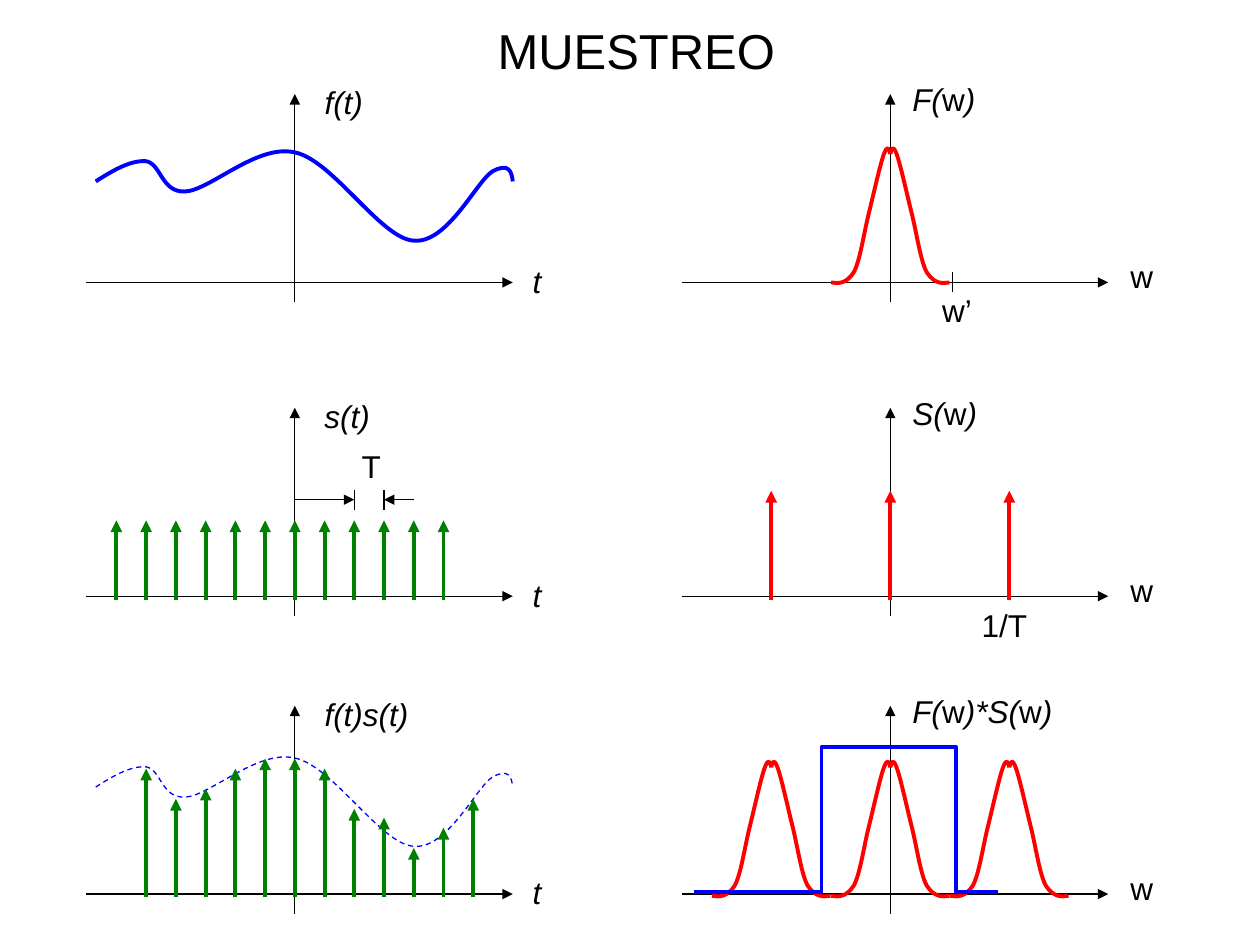
from itertools import groupby

from lxml import etree
from pptx import Presentation
from pptx.dml.color import RGBColor
from pptx.enum.dml import MSO_LINE
from pptx.enum.shapes import MSO_CONNECTOR
from pptx.enum.text import MSO_ANCHOR, MSO_AUTO_SIZE, PP_ALIGN
from pptx.oxml.ns import qn
from pptx.util import Inches, Pt

BLACK = RGBColor(0, 0, 0)
BLUE = RGBColor(0, 0, 255)
RED = RGBColor(255, 0, 0)
GREEN = RGBColor(0, 128, 0)
STRAIGHT = MSO_CONNECTOR.STRAIGHT
DASH = MSO_LINE.DASH
TOP = MSO_ANCHOR.TOP
GROW = MSO_AUTO_SIZE.SHAPE_TO_FIT_TEXT
CENTER, LEFT = PP_ALIGN.CENTER, PP_ALIGN.LEFT

COLS, ROWS = 100, 75
THIN, THICK = 0.75, 2.25
TIME_X, FREQ_X = 23.4, 70.66
BASES = (22.42, 47.32, 70.96)
PERIOD, SPECTRUM_STEP = 2.36, 9.45
SIGNAL = [(7.6, 14.4), (9, 13.5), (10.4, 12.7), (11.6, 12.8), (12.8, 13), (12.8, 15.3),
          (14.7, 15.2), (16.7, 15.1), (20.4, 11.4), (23.4, 12.1), (26.4, 12.7),
          (30.2, 18.9), (32.8, 19.1), (35.5, 19.4), (37.8, 14.4), (39.1, 13.6),
          (40.4, 12.9), (40.6, 13.6), (40.7, 14.4)]
HALF_BELL = [(4.7, 0), (4.1, 0.1), (3.5, 0.1), (2.9, -0.8), (2.4, -1.7), (2.1, -3.9),
             (1.7, -5.5), (1.3, -7.1), (0.8, -9.4), (0.5, -10.2), (0.2, -11),
             (0.1, -10.6), (0, -10.2)]
SAMPLE_TOPS = (61, 63.4, 62.6, 61, 60.2, 60.2, 61, 64.2, 64.9, 67.3, 65.7, 63.4)
WINDOW = [(55.1, 70.8), (65.2, 70.8), (65.2, 59.3), (75.9, 59.3), (75.9, 70.8), (79.2, 70.8)]


def write(tf, text, size=18, italic=False, align=LEFT):
    """Write one line of text, keeping the letter w upright."""
    tf.word_wrap = False
    tf.auto_size = GROW
    tf.vertical_anchor = TOP
    p = tf.paragraphs[0]
    p.alignment = align
    groups = groupby(text, key=lambda c: italic and c != "w")
    for slanted, letters in groups:
        r = p.add_run()
        r.text = "".join(letters)
        r.font.name, r.font.size = "Arial", Pt(size)
        r.font.italic = slanted
        r.font.color.rgb = BLACK


def bend(sp):
    """Turn each three segments of an outline into one cubic curve."""
    segments = list(sp._element.iter(qn("a:lnTo")))
    for i in range(0, len(segments), 3):
        curve = etree.Element(qn("a:cubicBezTo"))
        segments[i].addprevious(curve)
        for segment in segments[i:i + 3]:
            curve.append(segment[0])
            segment.getparent().remove(segment)


class Board:
    """Draw on the current slide in columns and rows of its grid."""

    def __init__(self, prs):
        self.s = prs.slides.add_slide(prs.slide_layouts[5])
        self.col = prs.slide_width / COLS
        self.row = prs.slide_height / ROWS

    def at(self, x, y):
        """Turn grid columns and rows into lengths."""
        return round(x * self.col), round(y * self.row)

    def title(self, text, x, y, w, h):
        """Place and fill the title."""
        sp = self.s.shapes.title
        sp.left, sp.top = self.at(x, y)
        sp.width, sp.height = self.at(w, h)
        write(sp.text_frame, text, size=28, align=CENTER)

    def label(self, text, x, y, w, italic=False):
        """Add a label."""
        sp = self.s.shapes.add_textbox(*self.at(x, y), *self.at(w, 4))
        write(sp.text_frame, text, italic=italic)

    def line(self, start, end, color=BLACK, width=THIN, arrow=True):
        """Add a straight line, with an arrowhead at its end if wanted."""
        sp = self.s.shapes.add_connector(STRAIGHT, *self.at(*start), *self.at(*end))
        sp.line.color.rgb = color
        sp.line.width = Pt(width)
        if arrow:
            ln = sp.line._get_or_add_ln()
            etree.SubElement(ln, qn("a:tailEnd"), type="triangle")
        etree.SubElement(sp._element.spPr, qn("a:effectLst"))

    def stem(self, x, bottom, top, color):
        """Add a thick upward arrow."""
        self.line((x, bottom), (x, top), color, THICK)

    def trace(self, points, color, width=THICK, dash=None, curved=True):
        """Add an open outline, curved or straight, along the points."""
        points = [self.at(*pt) for pt in points]
        fb = self.s.shapes.build_freeform(*points[0], scale=1.0)
        fb.add_line_segments(points[1:], close=False)
        sp = fb.convert_to_shape()
        if curved:
            bend(sp)
        sp.shadow.inherit = False
        sp.fill.background()
        sp.line.color.rgb = color
        sp.line.width = Pt(width)
        if dash:
            sp.line.dash_style = dash

    def axes(self, x, base):
        """Add a pair of axes crossing at x and base."""
        self.line((x - 16.54, base), (x + 17.3, base))
        self.line((x, base + 1.56), (x, base - 14.95))

    def bell(self, x, base):
        """Add a two-sided spectrum centred at x."""
        for side in (-1, 1):
            self.trace([(x + side * dx, base + dy) for dx, dy in HALF_BELL], RED)


def main():
    """Build the sampling slide."""
    prs = Presentation()
    prs.slide_width, prs.slide_height = Inches(10), Inches(7.5)
    b = Board(prs)
    b.title("MUESTREO", 38.35, 1.1, 24.3, 5.7)

    names = (("f(t)", 5.1, "F(w)", 7.1), ("s(t)", 5.7, "S(w)", 7.2),
             ("f(t)s(t)", 8.8, "F(w)*S(w)", 13.2))
    for base, (time, time_w, freq, freq_w) in zip(BASES, names):
        b.axes(TIME_X, base)
        b.axes(FREQ_X, base)
        b.label("t", 41.3, base - 2.13, 2.7, italic=True)
        b.label("w", 88.72, base - 2.48, 3.8)
        b.label(time, 24.77, base - 16.32, time_w, italic=True)
        b.label(freq, 71.42, base - 16.56, freq_w, italic=True)

    top, middle, bottom = BASES
    centers = [FREQ_X + k * SPECTRUM_STEP for k in (-1, 0, 1)]

    b.trace(SIGNAL, BLUE)
    b.bell(centers[1], top)
    b.label("w’", 73.8, 22.6, 4.4)
    b.line((75.6, 21.6), (75.6, 23.2), arrow=False)

    for k in range(-6, 6):
        b.stem(TIME_X + k * PERIOD, middle + 0.28, 41.3, GREEN)
    b.label("T", 27.72, 35, 3.6)
    for start, end in ((0, 2), (4, 3)):
        x = TIME_X + end * PERIOD
        b.line((TIME_X + start * PERIOD, 39.66), (x, 39.66))
        b.line((x, 38.9), (x, 40.5), arrow=False)
    for x in centers:
        b.stem(x, middle + 0.28, 38.95, RED)
    b.label("1/T", 76.93, 47.6, 5.7)

    b.trace([(x, y + 48.07) for x, y in SIGNAL], BLUE, THIN, DASH)
    for k, tip in enumerate(SAMPLE_TOPS, start=-5):
        b.stem(TIME_X + k * PERIOD, bottom + 0.26, tip, GREEN)
    for x in centers:
        b.bell(x, bottom + 0.14)
    b.trace(WINDOW, BLUE, curved=False)
    prs.save("out.pptx")


if __name__ == "__main__":
    main()
